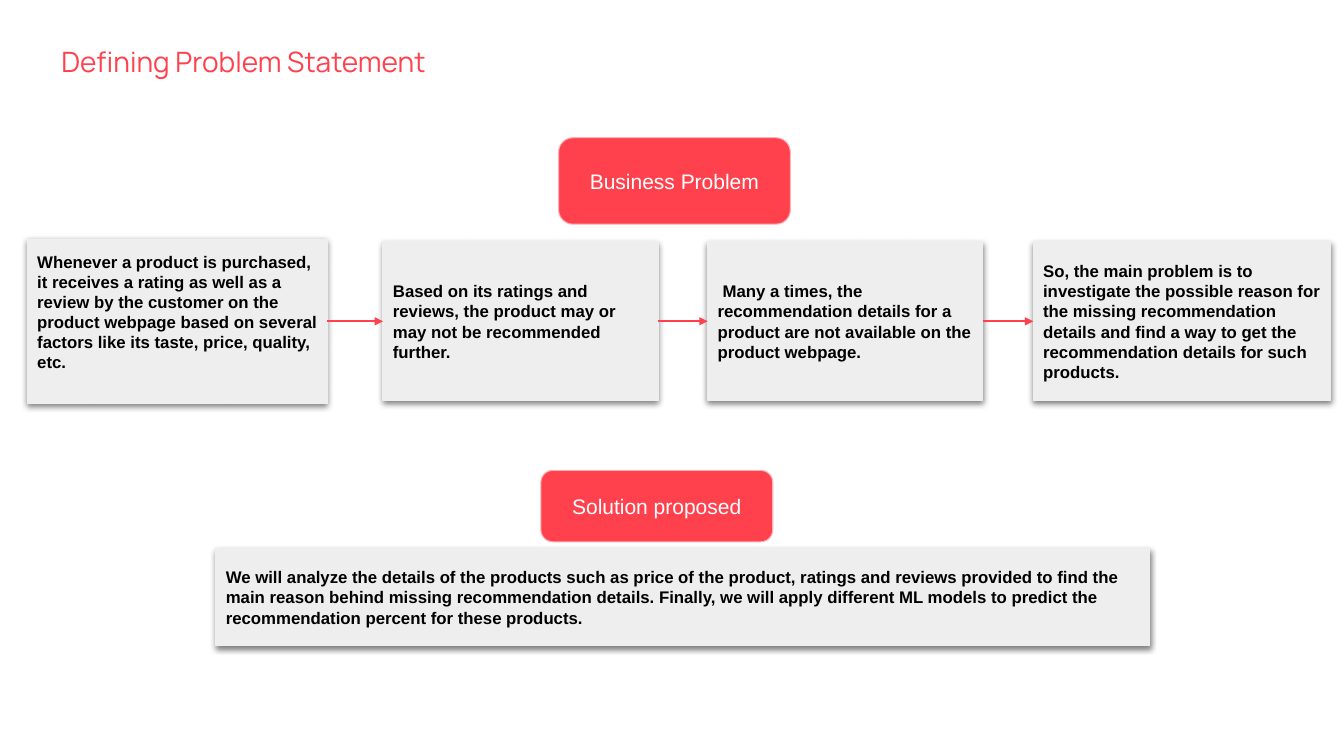
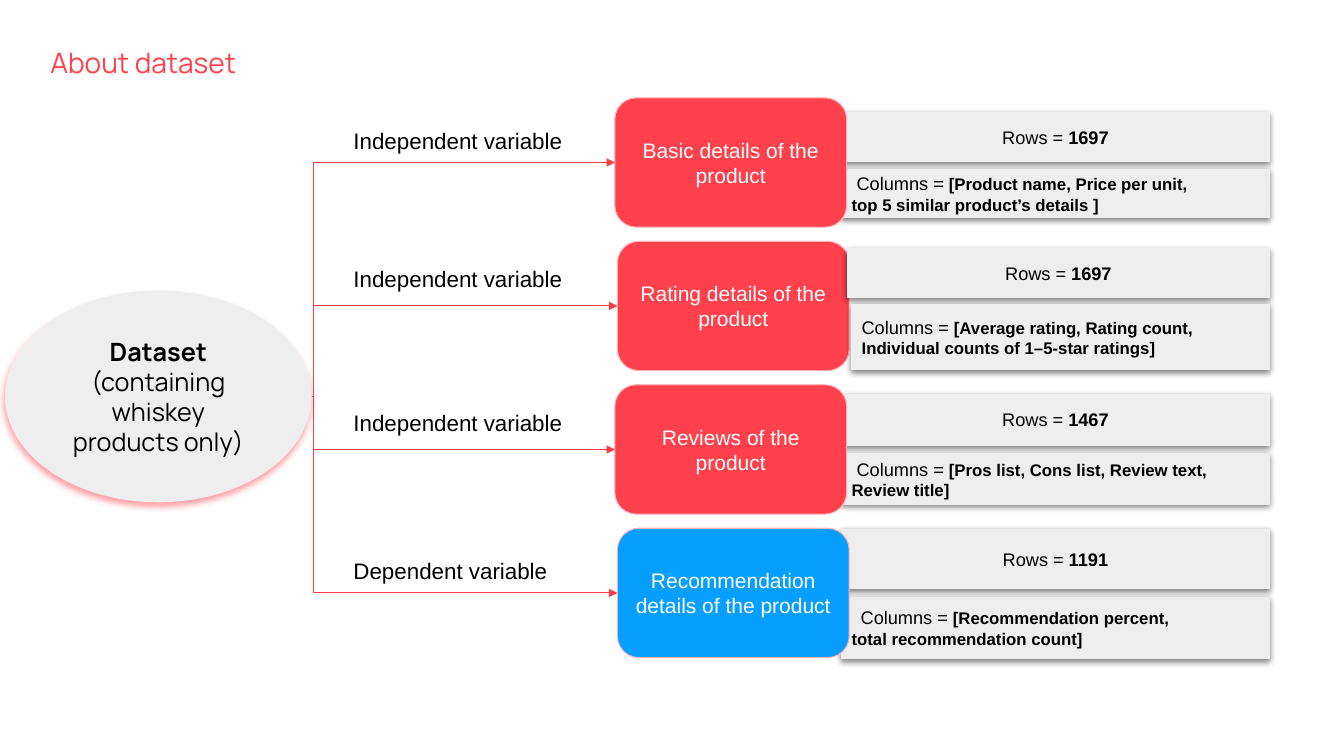
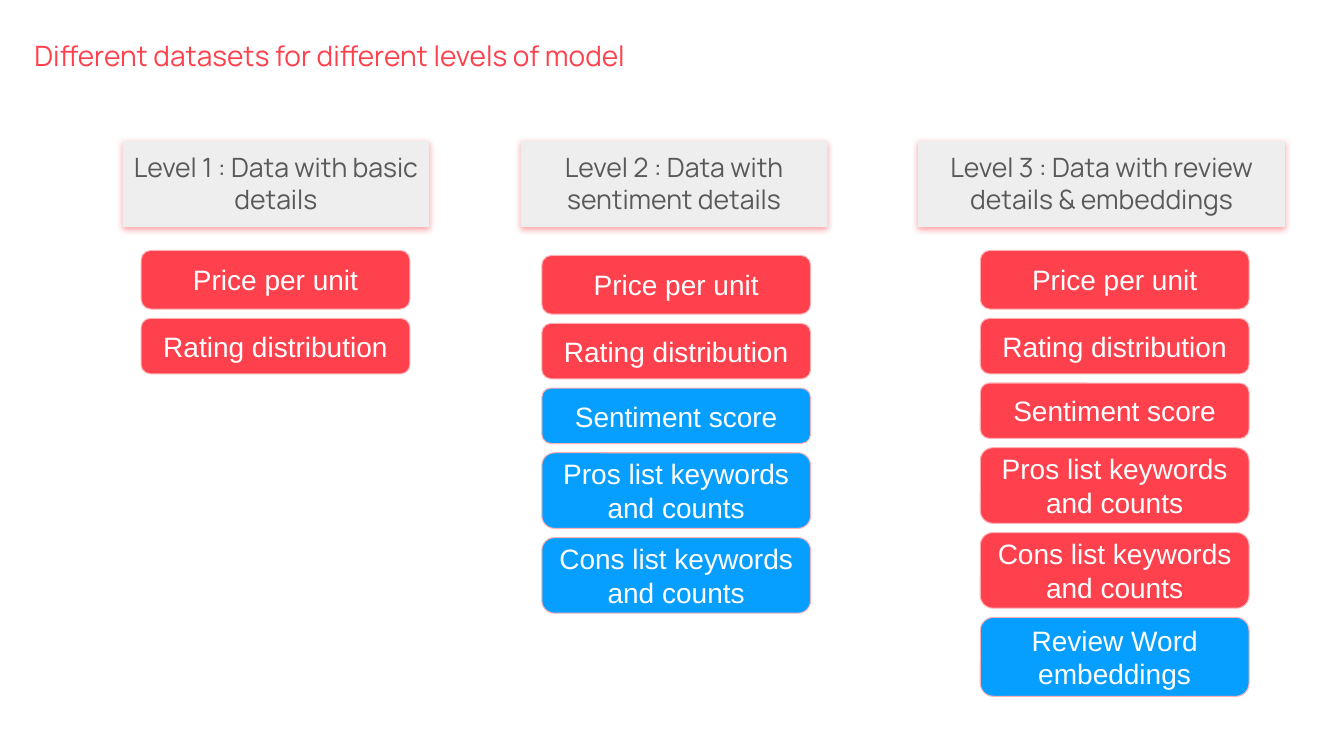
from dataclasses import dataclass

from lxml.etree import SubElement
from pptx import Presentation
from pptx.dml.color import RGBColor
from pptx.enum.shapes import MSO_CONNECTOR as LINK, MSO_SHAPE as SHAPE
from pptx.enum.text import MSO_ANCHOR as ANCHOR, MSO_AUTO_SIZE as AUTOSIZE, PP_ALIGN as ALIGN
from pptx.oxml.ns import qn
from pptx.util import Emu, Inches, Pt

# The slide is a grid of 160 columns by 90 rows, 12 to the inch.
COLUMNS, ROWS = 160, 90
CELL = Inches(1) // 12
TITLE_ONLY = 5
LEFT, RIGHT = 1, 3


@dataclass(frozen=True)
class Theme:
    red: str = "FE414D"
    link: str = "FD3B47"
    pink: str = "FEB1B5"
    blue: str = "079FFF"
    grey: str = "EEEEEE"
    dark: str = "595959"
    black: str = "000000"
    white: str = "FFFFFF"
    heading_font: str = "Manrope"
    body_font: str = "Arial"
    title: int = 20
    feature: int = 20
    level: int = 19
    dataset: int = 18
    label: int = 16
    chip: int = 15
    fact: int = 13
    body: int = 12


THEME = Theme()


@dataclass(frozen=True)
class Box:
    x: float
    y: float
    w: float
    h: float

    def inner(self, x, y, w, h):
        """A box whose corner is counted from the corner of this one."""
        return Box(self.x + x, self.y + y, w, h)

    def emu(self):
        return [to_emu(v) for v in (self.x, self.y, self.w, self.h)]


def to_emu(cells):
    return Emu(round(cells * CELL))


def rgb(colour):
    return RGBColor.from_string(colour)


def apply(target, values):
    for name, value in values.items():
        setattr(target, name, value)


def write(shape, paragraphs, size, colour=THEME.black, font=THEME.body_font, bold=False,
          align=ALIGN.LEFT, anchor=ANCHOR.MIDDLE, insets=(0.1, 0.1, 0.1, 0.1), indent=0):
    """Each paragraph is a list of (text, own font values); a newline breaks the line."""
    frame = shape.text_frame
    sides = ("margin_left", "margin_top", "margin_right", "margin_bottom")
    apply(frame, {"word_wrap": True, "auto_size": AUTOSIZE.NONE, "vertical_anchor": anchor,
                  **{side: Inches(inset) for side, inset in zip(sides, insets)}})
    for number, runs in enumerate(paragraphs):
        paragraph = frame.add_paragraph() if number else frame.paragraphs[0]
        paragraph.alignment = align
        if indent:
            paragraph._p.get_or_add_pPr().set("indent", str(Inches(indent)))
        for text, own in runs:
            values = {"name": font, "size": Pt(size), "bold": bold, **own}
            for line_number, line in enumerate(text.split("\n")):
                if line_number:
                    line_break = paragraph._p.add_br()
                    SubElement(line_break, qn("a:rPr"), sz=str(values["size"].centipoints))
                run = paragraph.add_run()
                run.text = line
                apply(run.font, values)
                run.font.color.rgb = rgb(colour)


def add_shape(slide, kind, box, fill, outline=None):
    shape = slide.shapes.add_shape(kind, *box.emu())
    shape.shadow.inherit = False
    shape.fill.solid()
    shape.fill.fore_color.rgb = rgb(fill)
    if outline:
        shape.line.color.rgb = rgb(outline)
        shape.line.width = Pt(0.75)
    else:
        shape.line.fill.background()
    return shape


def cast_shadow(shape, colour=THEME.black, distance=1.5, angle=90):
    effects = shape._element.spPr.find(qn("a:effectLst"))
    shadow = SubElement(effects, qn("a:outerShdw"), blurRad=str(Pt(4.5)), dist=str(Pt(distance)),
                        dir=str(angle * 60000), algn="bl", rotWithShape="0")
    tint = SubElement(shadow, qn("a:srgbClr"), val=colour)
    SubElement(tint, qn("a:alpha"), val="50000")


def add_chip(slide, box, text, fill=THEME.red, size=THEME.chip):
    chip = add_shape(slide, SHAPE.ROUNDED_RECTANGLE, box, fill, THEME.pink)
    write(chip, [[(text, {})]], size, THEME.white, align=ALIGN.CENTER, insets=(0.1, 0, 0.1, 0))
    return chip


def add_card(slide, box, runs, size=THEME.body, **style):
    card = add_shape(slide, SHAPE.RECTANGLE, box, THEME.grey, THEME.grey)
    cast_shadow(card)
    write(card, [runs], size, **style)
    return card


def style_arrow(connector, colour, width):
    connector.line.color.rgb = rgb(colour)
    connector.line.width = Pt(width)
    SubElement(connector.line._get_or_add_ln(), qn("a:tailEnd"), type="triangle")
    SubElement(connector._element.spPr, qn("a:effectLst"))


def add_titled_slide(prs, text, x, y):
    slide = prs.slides.add_slide(prs.slide_layouts[TITLE_ONLY])
    title = slide.shapes.title
    apply(title, dict(zip(("left", "top", "width", "height"), Box(x, y, 142, 7).emu())))
    write(title, [[(text, {})]], THEME.title, THEME.red, THEME.heading_font,
          anchor=ANCHOR.TOP, insets=(0, 0, 0, 0))
    return slide


# Column, width, height, first-line indent, bottom inset, text
PROBLEM_STEPS = [
    (3.25, 35.7, 19.5, 0, 0.29,
     "Whenever a product is purchased, it receives a rating as well as a review by the customer "
     "on the product webpage based on several factors like its taste, price, quality, etc."),
    (45.6, 32.75, 18.9, 0, 0.1,
     "Based on its ratings and reviews, the product may or may not be recommended further."),
    (84.25, 32.75, 18.9, 0.05, 0.1,
     "Many a times, the recommendation details for a product are not available on the "
     "product webpage."),
    (123, 35.4, 18.9, 0, 0.1,
     "So, the main problem is to investigate the possible reason for the missing recommendation "
     "details and find a way to get the recommendation details for such products."),
]
SOLUTION = (
    "We will analyze the details of the products such as price of the product, ratings and "
    "reviews provided to find the main reason behind missing recommendation details. Finally, "
    "we will apply different ML models to predict the recommendation percent for these products.")


def place_problem_steps(slide, box):
    previous = None
    for x, width, height, indent, bottom, text in PROBLEM_STEPS:
        place = box.inner(x, (box.h - height) / 2, width, height)
        step = add_card(slide, place, [(text, {})], bold=True, indent=indent,
                        insets=(0.1, 0.1, 0.1, bottom))
        if previous:
            arrow = slide.shapes.add_connector(LINK.STRAIGHT, 0, 0, 0, 0)
            arrow.begin_connect(previous, RIGHT)
            arrow.end_connect(step, LEFT)
            style_arrow(arrow, THEME.red, 1.5)
        previous = step


def build_problem_slide(prs):
    slide = add_titled_slide(prs, "Defining Problem Statement", 7.3, 5.3)
    add_chip(slide, Box(66.5, 16.4, 27.6, 10.3), "Business Problem")
    place_problem_steps(slide, Box(0, 28.5, COLUMNS, 19.5))
    add_chip(slide, Box(64.4, 56, 27.6, 8.5), "Solution proposed")
    add_card(slide, Box(25.7, 65.3, 111.2, 11.6), [(SOLUTION, {})], bold=True)


@dataclass(frozen=True)
class Subset:
    """One subset of the dataset; places are counted in its own band."""
    name: str
    role: str
    role_y: float
    chip_x: float
    count: str
    count_box: tuple  # x, y, height
    fields: str
    fields_box: tuple  # x, y, height
    indent: float = 0
    fill: str = THEME.red
    facts_in_front: bool = False


SUBSETS = [
    Subset("Basic details of the product", "Independent variable", 2.9, 32.3,
           "1697", (59.3, 1.7, 5.9),
           "[Product name, Price per unit,\ntop 5 similar product’s details ]", (59.3, 8.5, 5.8),
           indent=0.05),
    Subset("Rating details of the product", "Independent variable", 2.3, 32.6,
           "1697", (60, 0.8, 5.9),
           "[Average rating, Rating count,\nIndividual counts of 1–5-star ratings]",
           (60.5, 7.5, 7.8), facts_in_front=True),
    Subset("Reviews of the product", "Independent variable", 2.3, 32.3,
           "1467", (59.3, 1.1, 6.1),
           "[Pros list, Cons list, Review text,\nReview title]", (59.3, 8.2, 6), indent=0.05),
    Subset("Recommendation details of the product", "Dependent variable", 2.8, 32.6,
           "1191", (59.3, 0.1, 7.1),
           "[Recommendation percent,\ntotal recommendation count]", (59.3, 8.2, 7.3),
           indent=0.09, fill=THEME.blue),
]


def place_facts(slide, band, subset):
    bold = {"bold": True}
    x, y, height = subset.count_box
    add_card(slide, band.inner(x, y, band.w - x, height),
             [("Rows = ", {}), (subset.count, bold)], THEME.fact, align=ALIGN.CENTER)
    x, y, height = subset.fields_box
    add_card(slide, band.inner(x, y, band.w - x, height),
             [("Columns = ", {}), (subset.fields, {**bold, "size": Pt(THEME.body)})],
             THEME.fact, indent=subset.indent)


def place_subset(slide, band, subset, source):
    """Role label, name and facts of one subset, with the arrow from the source point."""
    if not subset.facts_in_front:
        place_facts(slide, band, subset)
    chip_box = band.inner(subset.chip_x, 0, 27.6, band.h)
    add_chip(slide, chip_box, subset.name, subset.fill)
    if subset.facts_in_front:
        place_facts(slide, band, subset)
    target = (chip_box.x, chip_box.y + chip_box.h / 2)
    arrow = slide.shapes.add_connector(LINK.ELBOW, *map(to_emu, source + target))
    bend = arrow._element.spPr.find(qn("a:prstGeom")).get_or_add_avLst()
    SubElement(bend, qn("a:gd"), name="adj1", fmla="val 700")
    style_arrow(arrow, THEME.link, 0.75)
    role = slide.shapes.add_textbox(*band.inner(0, subset.role_y, 28.9, 4.4).emu())
    write(role, [[(subset.role, {})]], THEME.label, anchor=ANCHOR.TOP,
          insets=(0.1, 0.05, 0.1, 0.05))


def build_dataset_slide(prs):
    slide = add_titled_slide(prs, "About dataset", 6, 5.4)
    dataset_box = Box(0.6, 34.6, 36.5, 25.2)
    dataset = add_shape(slide, SHAPE.OVAL, dataset_box, THEME.grey)
    cast_shadow(dataset, THEME.red, 3, 104)
    write(dataset, [[("Dataset", {"bold": True})], [("(containing whiskey products only)", {})]],
          THEME.dataset, font=THEME.heading_font, align=ALIGN.CENTER,
          insets=(0.1, 0.05, 0.1, 0.05))
    source = (dataset_box.x + dataset_box.w, dataset_box.y + dataset_box.h / 2)
    first, pitch = 11.65, 17.08
    for number, subset in enumerate(SUBSETS):
        place_subset(slide, Box(40.9, first + number * pitch, 110.2, 15.4), subset, source)


FEATURES = [  # text, height
    ("Price per unit", 7),
    ("Rating distribution", 6.6),
    ("Sentiment score", 6.6),
    ("Pros list keywords and counts", 9),
    ("Cons list keywords and counts", 9),
    ("Review Word embeddings", 9.4),
]
LEVELS = [  # heading, column, width, list column, list row, features, first new feature
    ("Level 1 : Data with basic details", 14.6, 36.5, 2.2, 13, 2, 2),
    ("Level 2 : Data with sentiment details", 62, 36.5, 2.5, 13.6, 5, 2),
    ("Level 3 : Data with review details & embeddings", 109.3, 43.7, 7.4, 13, 6, 5),
]


def place_level(slide, box, heading, list_x, list_y, count, first_new):
    header = add_shape(slide, SHAPE.RECTANGLE, box.inner(0, 0, box.w, 10.2), THEME.grey)
    cast_shadow(header, THEME.red)
    write(header, [[(heading, {})]], THEME.level, THEME.dark, THEME.heading_font,
          align=ALIGN.CENTER, anchor=ANCHOR.TOP)
    y, gap = list_y, 1.1
    for number, (feature, height) in enumerate(FEATURES[:count]):
        fill = THEME.blue if number >= first_new else THEME.red
        add_chip(slide, box.inner(list_x, y, 32, height), feature, fill, THEME.feature)
        y += height + gap


def build_levels_slide(prs):
    slide = add_titled_slide(prs, "Different datasets for different levels of model", 4.1, 4.6)
    for heading, x, width, *features in LEVELS:
        place_level(slide, Box(x, 16.8, width, ROWS - 16.8), heading, *features)


def main():
    prs = Presentation()
    prs.slide_width, prs.slide_height = to_emu(COLUMNS), to_emu(ROWS)
    for build in (build_problem_slide, build_dataset_slide, build_levels_slide):
        build(prs)
    prs.save("out.pptx")


if __name__ == "__main__":
    main()
